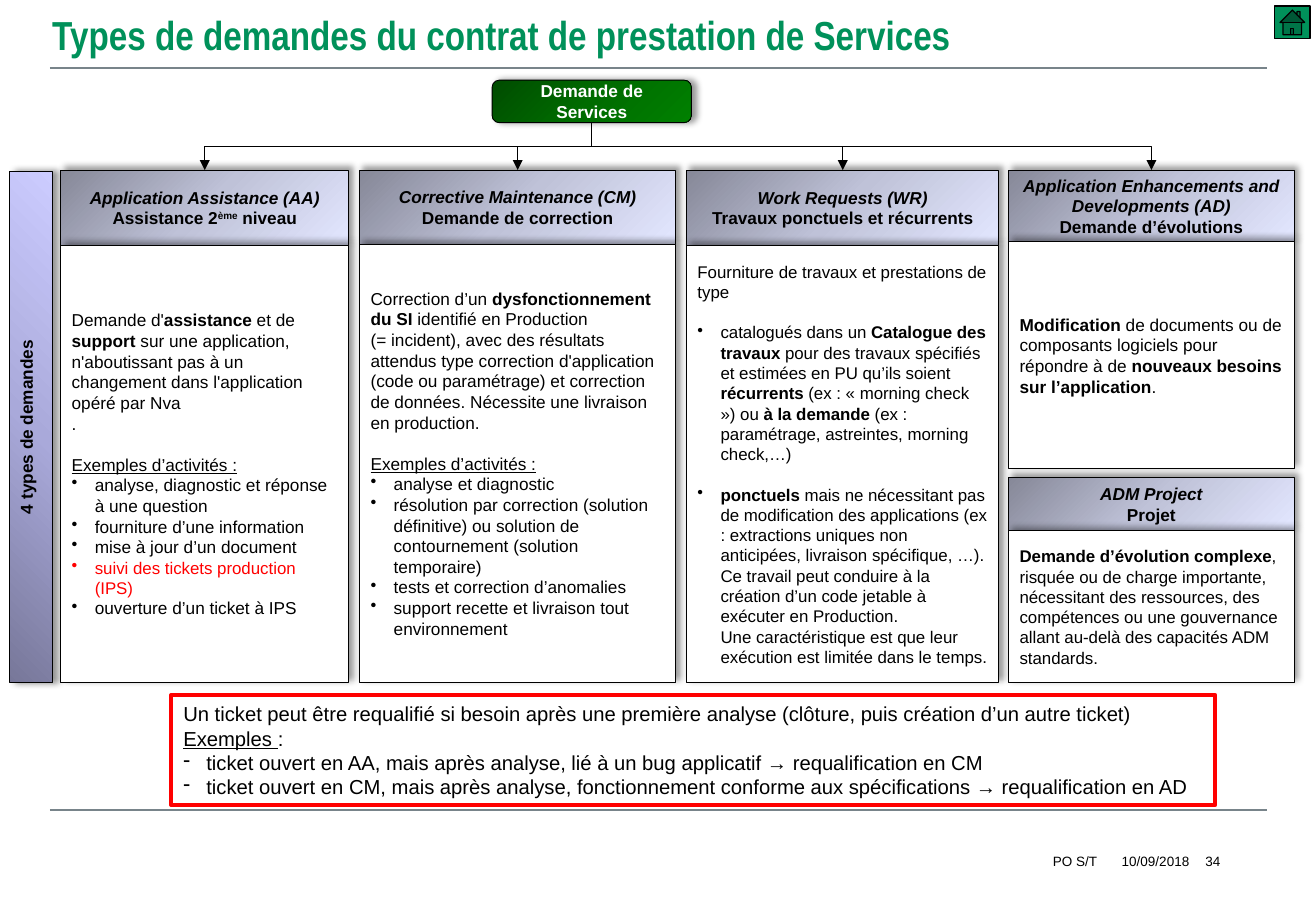
from copy import deepcopy
from dataclasses import dataclass
from typing import NamedTuple

from pptx import Presentation, util as u
from pptx.dml.color import RGBColor
from pptx.enum import shapes as es, text as et
from pptx.oxml.ns import qn
from lxml import etree

PX = 9144  # 100 px to the inch
BLACK, WHITE, GREEN, RED, RULE = "000000", "FFFFFF", "00915A", "FF0000", "78848A"
HEADER_GRADIENT = ("868898", "BFC2D8", "E3E7FF")
ROOT_GRADIENT = ("004C00", "006C00", "008000")
SIDE_GRADIENT = ("777799", "A9A9DA", "CCCCFF")
LEFT, CENTER, RIGHT = et.PP_ALIGN.LEFT, et.PP_ALIGN.CENTER, et.PP_ALIGN.RIGHT
TOP, MIDDLE = et.MSO_ANCHOR.TOP, et.MSO_ANCHOR.MIDDLE
RECT = es.MSO_SHAPE.RECTANGLE


class Run(NamedTuple):
    text: str
    style: str = ""  # b bold, i italic, u underline, ^ superscript


@dataclass
class Para:
    runs: list[Run]
    bullet: str = ""
    indent: int = 0
    before: float = 0
    color: str = ""
    size: float = 0


@dataclass
class Request:
    left: int
    top: int
    width: int
    split: int
    bottom: int
    title: str
    subtitle: list[Run]
    body: list[Para]
    size: float = 10.2


def px(n: float) -> u.Emu:
    return u.Emu(round(n * PX))


def rgb(color: str) -> RGBColor:
    return RGBColor.from_string(color)


def plain(text: str, style: str = "", **options) -> Para:
    return Para([Run(text, style)], **options)


def bullet(*runs: Run, mark: str = "•", **options) -> Para:
    return Para(list(runs), bullet=mark, indent=19, **options)


def write(box, paras: list[Para], *, size=10.2, color=BLACK, font="Arial", align=LEFT,
          anchor=MIDDLE, inset=(9, 5), wrap=True) -> None:
    frame = box.text_frame
    frame.word_wrap, frame.vertical_anchor = wrap, anchor
    frame.margin_left = frame.margin_right = px(inset[0])
    frame.margin_top = frame.margin_bottom = px(inset[1])
    for n, para in enumerate(paras):
        p = frame.add_paragraph() if n else frame.paragraphs[0]
        p.alignment = align
        if para.before:
            p.space_before = u.Pt(para.before)
        if para.indent:
            props = p._p.get_or_add_pPr()
            props.set("marL", str(px(para.indent)))
            props.set("indent", str(-px(para.indent) if para.bullet else 0))
            if para.bullet:
                etree.SubElement(props, qn("a:buChar")).set("char", para.bullet)
        for part in para.runs:
            r = p.add_run()
            r.text = part.text
            r.font.name, r.font.size = font, u.Pt(para.size or size)
            r.font.color.rgb = rgb(para.color or color)
            r.font.bold, r.font.italic = "b" in part.style, "i" in part.style
            r.font.underline = "u" in part.style
            if "^" in part.style:
                r.font._element.set("baseline", "30000")


def add_box(x: int, y: int, w: int, h: int, *, kind=RECT, fill: str | tuple = WHITE,
            line=BLACK, weight=0.5, shadow: int | None = 315):
    box = slide.shapes.add_shape(kind, px(x), px(y), px(w), px(h))
    if isinstance(fill, str):
        box.fill.solid()
        box.fill.fore_color.rgb = rgb(fill)
    else:
        box.fill.gradient()
        box.fill.gradient_angle = 315
        stops = box._element.spPr.find(".//" + qn("a:gsLst"))
        stops.insert(1, deepcopy(stops[0]))
        for stop, color, position in zip(box.fill.gradient_stops, fill, (0, 0.5, 1)):
            stop.color.rgb, stop.position = rgb(color), position
    box.line.color.rgb, box.line.width = rgb(line), u.Pt(weight)
    box.shadow.inherit = False
    if shadow is not None:
        effects = box._element.spPr.find(qn("a:effectLst"))
        outer = etree.SubElement(effects, qn("a:outerShdw"), blurRad=str(u.Pt(4)),
                                 dist=str(u.Pt(3)), dir=str(shadow * 60000), rotWithShape="0")
        tint = etree.SubElement(outer, qn("a:srgbClr"), val=BLACK)
        etree.SubElement(tint, qn("a:alpha"), val="40000")
    return box


def add_label(x: int, y: int, w: int, h: int, text: str, style: str = "", **options) -> None:
    box = slide.shapes.add_textbox(px(x), px(y), px(w), px(h))
    write(box, [plain(text, style)], inset=(0, 0), **options)


def add_line(kind, x1: int, y1: int, x2: int, y2: int, color: str, weight: float):
    line = slide.shapes.add_connector(kind, px(x1), px(y1), px(x2), px(y2))
    line.line.color.rgb, line.line.width = rgb(color), u.Pt(weight)
    etree.SubElement(line._element.spPr, qn("a:effectLst"))
    return line


def add_branch(source, target) -> None:
    """Elbow arrow that leaves the source downwards and enters the target's top."""
    arrow = add_line(es.MSO_CONNECTOR.ELBOW, 0, 0, 10, 10, BLACK, 0.5)
    arrow.begin_connect(source, 2)
    arrow.end_connect(target, 0)
    x1, y1 = source.left + source.width // 2, source.top + source.height
    x2, y2 = target.left + target.width // 2, target.top
    drop, reach = y2 - y1, abs(x2 - x1)
    frame = arrow._element.spPr.find(qn("a:xfrm"))
    frame.attrib.clear()
    frame.set("rot", str((270 if x2 > x1 else 90) * 60000))
    if x2 > x1:
        frame.set("flipH", "1")
    arrow.left, arrow.top = (x1 + x2 - drop) // 2, (y1 + y2 - reach) // 2
    arrow.width, arrow.height = drop, reach
    etree.SubElement(arrow.line._get_or_add_ln(), qn("a:tailEnd"), type="triangle")


REQUESTS = [
    Request(50, 140, 237, 202, 562, "Application Assistance (AA)",
            [Run("Assistance 2", "b"), Run("ème", "b^"), Run(" niveau", "b")], [
        Para([Run("Demande d'"), Run("assistance", "b"), Run(" et de "), Run("support", "b"),
              Run(" sur une application, n'aboutissant pas à un changement dans "
                  "l'application opéré par Nva")]),
        plain("."),
        plain("Exemples d’activités :", "u", before=12),
        bullet(Run("analyse, diagnostic et réponse à une question")),
        bullet(Run("fourniture d’une information")),
        bullet(Run("mise à jour d’un document")),
        bullet(Run("suivi des tickets production (IPS)"), color=RED, size=10),
        bullet(Run("ouverture d’un ticket à IPS"))]),
    Request(296, 140, 260, 201, 562, "Corrective Maintenance (CM)",
            [Run("Demande de correction", "b")], [
        Para([Run("Correction d’un "), Run("dysfonctionnement du SI ", "b"),
              Run("identifié en Production")]),
        plain("(= incident), avec des résultats attendus type correction d'application (code "
              "ou paramétrage) et correction de données. Nécessite une livraison en production."),
        plain("Exemples d’activités :", "u", before=12),
        bullet(Run("analyse et diagnostic")),
        bullet(Run("résolution par correction (solution définitive) ou solution de "
                   "contournement (solution temporaire)")),
        bullet(Run("tests et correction d’anomalies")),
        bullet(Run("support recette et livraison tout environnement"))]),
    Request(565, 140, 257, 202, 562, "Work Requests (WR)",
            [Run("Travaux ponctuels et récurrents", "b")], [
        plain("Fourniture de travaux et prestations de type"),
        bullet(Run("catalogués dans un "), Run("Catalogue des travaux ", "b"),
               Run("pour des travaux spécifiés et estimées en PU qu’ils soient "),
               Run("récurrents", "b"), Run(" (ex : « morning check ») ou "),
               Run("à la demande", "b"),
               Run(" (ex : paramétrage, astreintes, morning check,…)"), before=12),
        bullet(Run("ponctuels", "b"),
               Run(" mais ne nécessitant pas de modification des applications (ex : extractions "
                   "uniques non anticipées, livraison spécifique, …)."), before=12),
        plain("Ce travail peut conduire à la création d’un code jetable à exécuter en "
              "Production.", indent=19),
        plain("Une caractéristique est que leur exécution est limitée dans le temps.",
              indent=19)], size=10),
    Request(830, 140, 235, 199, 386, "Application Enhancements and Developments (AD)",
            [Run("Demande d’évolutions", "b")], [
        Para([Run("Modification", "b"),
              Run(" de documents ou de composants logiciels pour répondre à de "),
              Run("nouveaux besoins sur l’application", "b"), Run(".")])]),
    Request(830, 393, 235, 437, 562, "ADM Project", [Run("Projet", "b")], [
        Para([Run("Demande d’évolution complexe", "b"),
              Run(", risquée ou de charge importante, nécessitant des ressources, des "
                  "compétences ou une gouvernance allant au-delà des capacités ADM "
                  "standards.")])], size=10),
]

prs = Presentation()
prs.slide_width, prs.slide_height = px(1083), px(750)
slide = prs.slides.add_slide(prs.slide_layouts[6])

# Rules, home button and title
for rule_y in (56, 667):
    add_line(es.MSO_CONNECTOR.STRAIGHT, 41, rule_y, 1043, rule_y, RULE, 1)
add_box(1049, 5, 29, 27, kind=es.MSO_SHAPE.ACTION_BUTTON_HOME, fill=GREEN, weight=0.75, shadow=None)
add_label(43, -1, 1002, 58, "Types de demandes du contrat de prestation de Services", "b",
          size=24, color=GREEN, font="Arial Narrow")

# Root of the tree and side band
root = add_box(405, 66, 164, 35, kind=es.MSO_SHAPE.ROUNDED_RECTANGLE, fill=ROOT_GRADIENT, shadow=0)
write(root, [plain("Demande de Services", "b")], color=WHITE, align=CENTER)
side_band = add_box(-185, 334, 421, 35, fill=SIDE_GRADIENT, weight=0.75, shadow=0)
side_band.rotation = 270
write(side_band, [plain("4 types de demandes", "b")], align=CENTER, anchor=TOP, inset=(10, 5))

# Request types, with arrows to those of the first row
for req in REQUESTS:
    header = add_box(req.left, req.top, req.width, req.split - req.top, fill=HEADER_GRADIENT)
    write(header, [plain(req.title, "bi"), Para(req.subtitle)], align=CENTER)
    details = add_box(req.left, req.split, req.width, req.bottom - req.split)
    write(details, req.body, size=req.size)
    if req.top == 140:
        add_branch(root, header)

# Requalification note
note = add_box(141, 572, 859, 91, line=RED, weight=2.25, shadow=None)
write(note, [
    plain("Un ticket peut être requalifié si besoin après une première analyse (clôture, puis "
          "création d’un autre ticket)"),
    Para([Run("Exemples ", "u"), Run(":")]),
    bullet(Run("ticket ouvert en AA, mais après analyse, lié à un bug applicatif → "
               "requalification en CM"), mark="-"),
    bullet(Run("ticket ouvert en CM, mais après analyse, fonctionnement conforme aux "
               "spécifications → requalification en AD"), mark="-"),
], size=12, inset=(10, 5))

# Footer
add_label(664, 699, 239, 20, "PO S/T", size=8, align=RIGHT, wrap=False)
add_label(909, 699, 84, 20, "10/09/2018", size=8, align=CENTER, wrap=False)
add_label(992, 699, 21, 20, "34", size=8, wrap=False)

prs.save("out.pptx")
